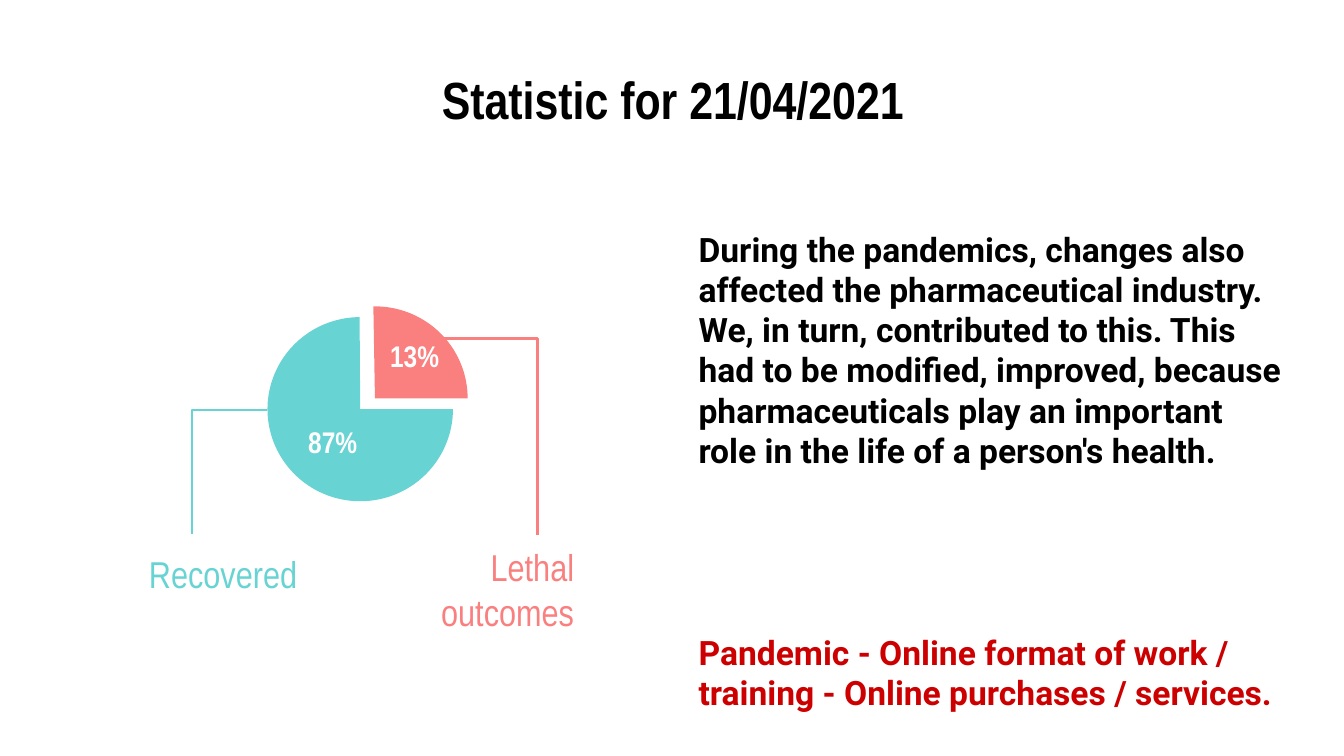
from dataclasses import dataclass

import pptx
import pptx.dml.color
import pptx.enum.shapes
import pptx.enum.text
import pptx.oxml.ns
import pptx.util
from lxml import etree

Inches = pptx.util.Inches
Pt = pptx.util.Pt
RGB = pptx.dml.color.RGBColor.from_string
Align = pptx.enum.text.PP_ALIGN
qn = pptx.oxml.ns.qn


@dataclass(frozen=True)
class Theme:
    recovered: str = "68D3D3"
    lethal: str = "FA8080"
    ink: str = "000000"
    accent: str = "CC0000"
    on_pie: str = "FFFFFF"
    display_font: str = "Arial Narrow"
    body_font: str = "Roboto"
    title_size: float = 28
    caption_size: float = 20
    body_size: float = 18
    share_size: float = 16
    leader_width: float = 1.5


class StatisticSlide:
    """Draws the elements of one slide in a shared theme."""

    def __init__(self, slide, theme):
        self.shapes = slide.shapes
        self.theme = theme

    def pie_slice(self, left, top, start, end, color):
        pie = self.shapes.add_shape(
            pptx.enum.shapes.MSO_SHAPE.PIE,
            Inches(left), Inches(top), Inches(1.38), Inches(1.37),
        )
        pie.adjustments[0] = start
        pie.adjustments[1] = end
        pie.shadow.inherit = False
        pie.fill.solid()
        pie.fill.fore_color.rgb = RGB(color)
        pie.line.fill.background()

    def leader(self, start, end, color):
        leader = self.shapes.add_connector(
            pptx.enum.shapes.MSO_CONNECTOR.ELBOW,
            *(Inches(length) for length in (*start, *end)),
        )
        leader.line.color.rgb = RGB(color)
        leader.line.width = Pt(self.theme.leader_width)
        properties = leader._element.spPr
        bends = properties.find(".//" + qn("a:avLst"))
        etree.SubElement(bends, qn("a:gd"), name="adj1", fmla="val 100000")
        etree.SubElement(properties, qn("a:effectLst"))

    def text(self, box, wording, size, colors, align=Align.LEFT, bold=True,
             font=None, line_spacing=None, gap=0):
        frame = self.shapes.add_textbox(*(Inches(length) for length in box)).text_frame
        frame.word_wrap = True
        frame.margin_left = frame.margin_right = Inches(0.1)
        frame.margin_top = frame.margin_bottom = Inches(0.1)
        frame.text = wording
        for paragraph, color in zip(frame.paragraphs, colors):
            paragraph.alignment = align
            paragraph.line_spacing = line_spacing
            for run in paragraph.runs:
                run.font.name = font or self.theme.display_font
                run.font.size = Pt(size)
                run.font.bold = bold
                run.font.color.rgb = RGB(color)
        if gap:
            frame.paragraphs[-1].space_before = Pt(gap)


def main():
    theme = Theme()
    deck = pptx.Presentation()
    deck.slide_width = Inches(10)
    deck.slide_height = deck.slide_width * 9 // 16
    statistic = StatisticSlide(deck.slides.add_slide(deck.slide_layouts[6]), theme)

    statistic.pie_slice(1.99, 2.36, 0, 161.77, theme.recovered)
    statistic.leader((1.99, 3.05), (1.43, 3.97), theme.recovered)
    statistic.pie_slice(2.1, 2.28, 161.41, 0, theme.lethal)
    statistic.leader((3.3, 2.52), (4, 3.98), theme.lethal)

    statistic.text((0.79, 0.4, 8.43, 0.55), "Statistic for 21/04/2021",
                   theme.title_size, [theme.ink], Align.CENTER)
    statistic.text((1.01, 3.95, 1.72, 0.4), "Recovered", theme.caption_size,
                   [theme.recovered], bold=False, line_spacing=1.15)
    statistic.text((2.65, 3.95, 1.72, 0.4), "Lethal outcomes", theme.caption_size,
                   [theme.lethal], Align.RIGHT, bold=False)
    for share, box in (("13%", (2.7, 2.41, 0.77, 0.56)),
                       ("87%", (2.13, 3.05, 0.69, 0.47))):
        statistic.text(box, share, theme.share_size, [theme.on_pie], Align.CENTER)

    story = (
        "During the pandemics, changes also affected the pharmaceutical industry. "
        "We, in turn, contributed to this. This had to be modified, improved, "
        "because pharmaceuticals play an important role in the life of a person's health."
    )
    outcome = "Pandemic - Online format of work / training - Online purchases / services."
    statistic.text((5.1, 1.6, 4.57, 3.84), f"{story}\n{outcome}", theme.body_size,
                   [theme.ink, theme.accent], font=theme.body_font, gap=86.5)

    deck.save("out.pptx")


if __name__ == "__main__":
    main()
